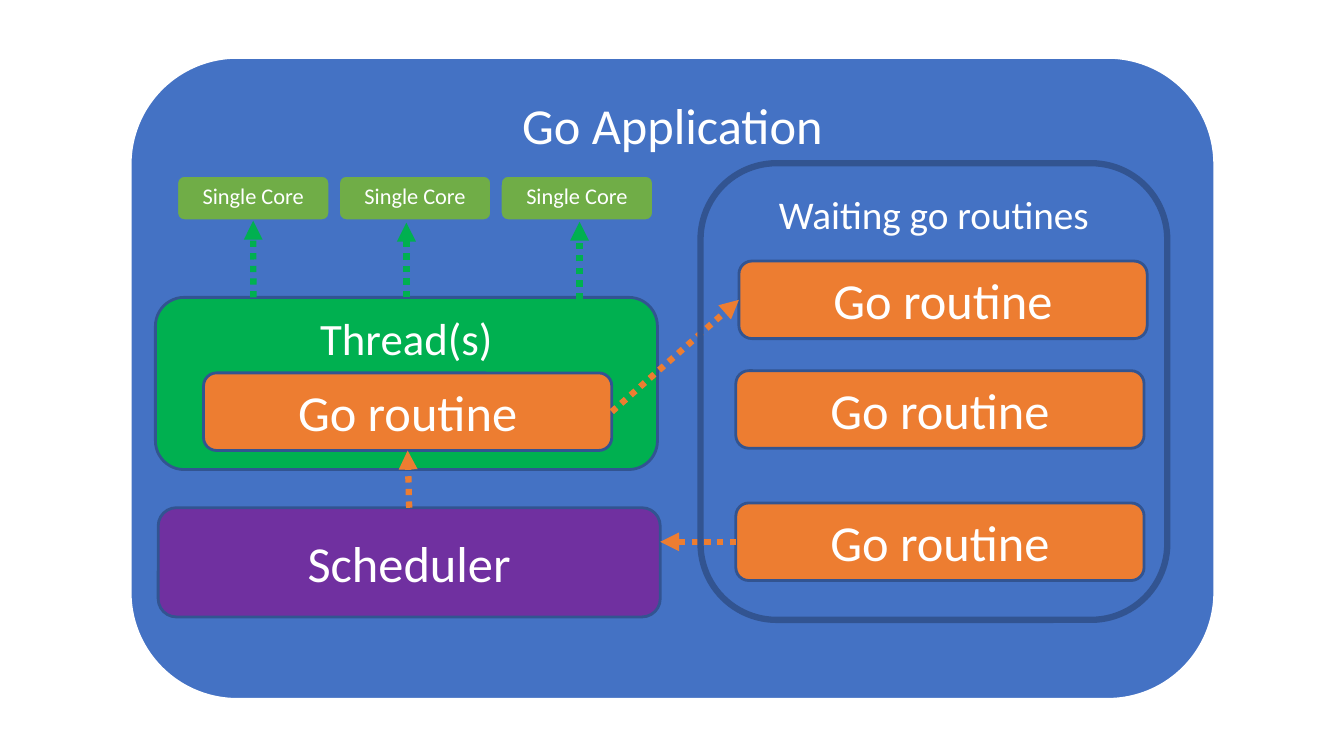
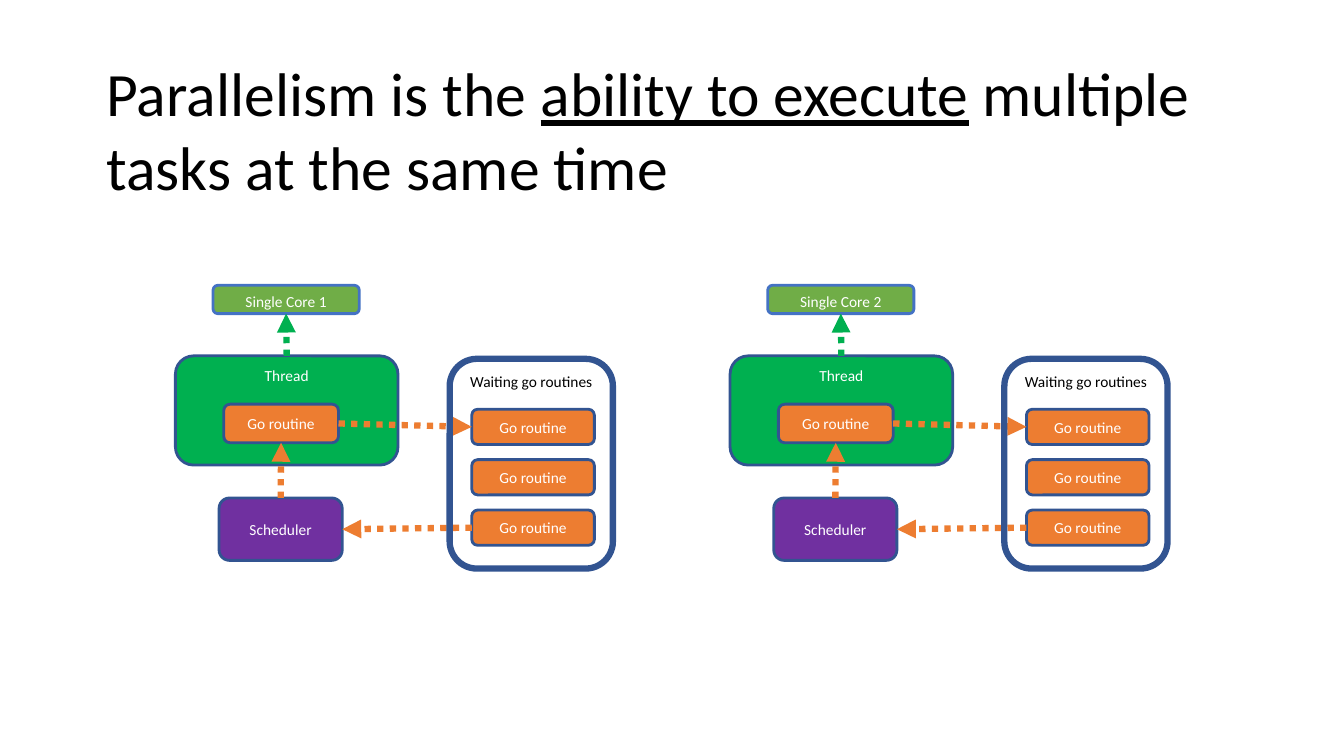
from dataclasses import dataclass

from lxml import etree
from pptx import Presentation
from pptx import util as u
from pptx.dml.color import RGBColor
from pptx.enum import dml, shapes, text
from pptx.oxml import ns


@dataclass(frozen=True)
class Theme:
    font: str = "Calibri"
    white: str = "FFFFFF"
    black: str = "000000"
    app: str = "4472C4"
    outline: str = "325491"
    thread: str = "00B050"
    routine: str = "ED7D31"
    scheduler: str = "7030A0"
    core: str = "70AD47"
    thin: float = 2
    thick: float = 4.5
    title: int = 44
    large: int = 36
    medium: int = 32
    panel: int = 28
    label: int = 16
    small: int = 11


T = Theme()
TOP, LEFT, BOTTOM, RIGHT = range(4)  # connection sites


def rgb(value):
    return RGBColor.from_string(value)


def style(font, size, color):
    font.name, font.size = T.font, u.Pt(size)
    font.color.rgb = rgb(color)


def box(s, label, rect, fill, size, line=T.outline, width=T.thin,
        color=T.white, middle=False):
    """Rounded box with a centred label; no fill when fill is None."""
    sp = s.shapes.add_shape(shapes.MSO_SHAPE.ROUNDED_RECTANGLE, *map(u.Pt, rect))
    sp.shadow.inherit = False
    if fill:
        sp.fill.solid()
        sp.fill.fore_color.rgb = rgb(fill)
    else:
        sp.fill.background()
    sp.line.color.rgb = rgb(line)
    sp.line.width = u.Pt(width)
    tf = sp.text_frame
    tf.word_wrap = True
    tf.vertical_anchor = text.MSO_ANCHOR.MIDDLE if middle else text.MSO_ANCHOR.TOP
    p = tf.paragraphs[0]
    p.text = label
    p.alignment = text.PP_ALIGN.CENTER
    style(p.font, size, color)
    return sp


def routine(s, rect, size):
    return box(s, "Go routine", rect, T.routine, size, middle=True)


def scheduler(s, rect, size):
    return box(s, "Scheduler", rect, T.scheduler, size, middle=True)


def core(s, label, rect, size):
    return box(s, label, rect, T.core, size, line=T.app)


def waiting_panel(s, rect, size, color):
    return box(s, "Waiting go routines", rect, None, size, width=T.thick, color=color)


def arrow(s, color, begin, end):
    """Dotted arrow; each end is a point (x, y) or a joint (shape, site)."""
    def is_point(place):
        return isinstance(place[0], (int, float))

    points = [u.Pt(v) for place in (begin, end)
              for v in (place if is_point(place) else (0, 0))]
    c = s.shapes.add_connector(shapes.MSO_CONNECTOR.STRAIGHT, *points)
    if not is_point(begin):
        c.begin_connect(*begin)
    if not is_point(end):
        c.end_connect(*end)
    c.line.color.rgb = rgb(color)
    c.line.width = u.Pt(T.thick)
    c.line.dash_style = dml.MSO_LINE.ROUND_DOT
    etree.SubElement(c.line._get_or_add_ln(), ns.qn("a:tailEnd"), type="triangle")
    etree.SubElement(c._element.spPr, ns.qn("a:effectLst"))


def title(s, parts):
    """Slide title made of (text, underlined) parts."""
    tb = s.shapes.add_textbox(*map(u.Pt, (69, 36, 858, 112.3)))
    tf = tb.text_frame
    tf.word_wrap = True
    p = tf.paragraphs[0]
    for words, underlined in parts:
        r = p.add_run()
        r.text = words
        if underlined:
            r.font.underline = True
    style(p.font, T.title, T.black)


def application_slide(s):
    box(s, "Go Application", (93, 41, 774.7, 458.6), T.app, T.large, line=T.white)

    # Thread, scheduler and routines
    thread = box(s, "Thread(s)", (111, 212.4, 358.6, 123), T.thread, T.medium)
    running = routine(s, (145.4, 266.4, 291.6, 55.4), T.large)
    waiting = [routine(s, (x, y, 291.6, 55.4), T.large)
               for x, y in ((527.8, 186.5), (525.6, 264.8), (525.6, 359.3))]
    sched = scheduler(s, (113, 362.7, 358.6, 78), T.large)
    arrow(s, T.routine, (running, RIGHT), (waiting[0], LEFT))
    arrow(s, T.routine, (waiting[2], LEFT), (471.6, 387))
    arrow(s, T.routine, (sched, TOP), (running, BOTTOM))
    waiting_panel(s, (500.4, 116.6, 333.4, 326.2), T.panel, T.white)

    # Cores
    cores = [core(s, "Single Core", (126.2 + 115.6 * i, 125.3, 109.4, 32.4), T.label)
             for i in range(3)]
    arrow(s, T.thread, (181, 212.4), (cores[0], BOTTOM))
    arrow(s, T.thread, (thread, TOP), (290.3, 159))
    arrow(s, T.thread, (414, 213.8), (414, 158.4))


def core_group(s, number, dx):
    """One core with its own thread, scheduler and waiting routines."""
    thread = box(s, "Thread", (dx + 125.3, 254.2, 159, 78), T.thread, T.small)
    running = routine(s, (dx + 159.8, 288.7, 82, 27.6), T.small)
    waiting = [routine(s, (dx + 337, 292.3 + 36 * i, 87.6, 25.2), T.small)
               for i in range(3)]
    sched = scheduler(s, (dx + 156.5, 355.7, 88, 44.6), T.small)
    arrow(s, T.routine, (running, RIGHT), (waiting[0], LEFT))
    arrow(s, T.routine, (waiting[2], LEFT), (sched, RIGHT))
    waiting_panel(s, (dx + 321.2, 256.3, 116.6, 149.8), T.small, T.black)
    top = core(s, f"Single Core {number}", (dx + 152.2, 203.8, 104.4, 20.2), T.small)
    arrow(s, T.thread, (thread, TOP), (top, BOTTOM))
    arrow(s, T.routine, (sched, TOP), (running, BOTTOM))


def parallelism_slide(s):
    title(s, [("Parallelism is the ", False), ("ability to execute", True),
              (" multiple tasks at the same time", False)])
    for i in range(2):
        core_group(s, i + 1, 396.2 * i)


def main():
    prs = Presentation()
    prs.slide_width, prs.slide_height = u.Pt(960), u.Pt(540)
    for build in (application_slide, parallelism_slide):
        build(prs.slides.add_slide(prs.slide_layouts[6]))
    prs.save("out.pptx")


if __name__ == "__main__":
    main()
